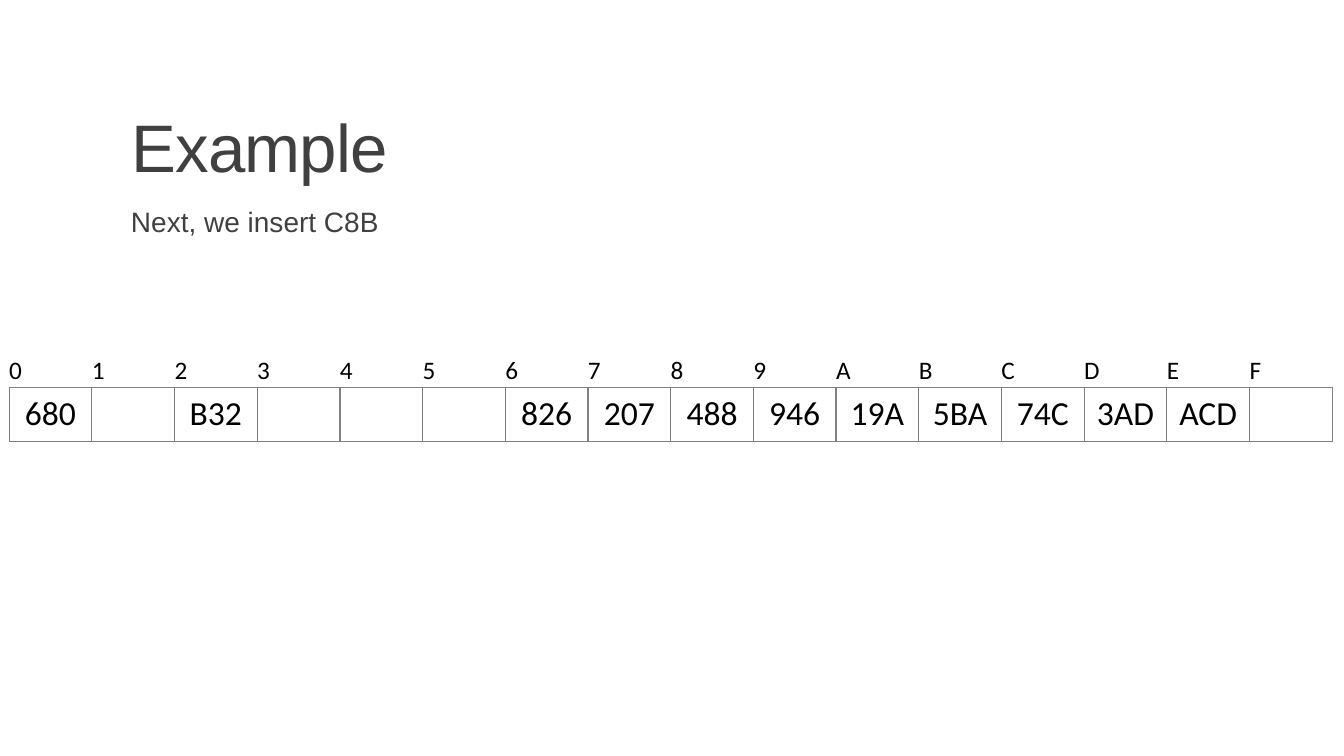
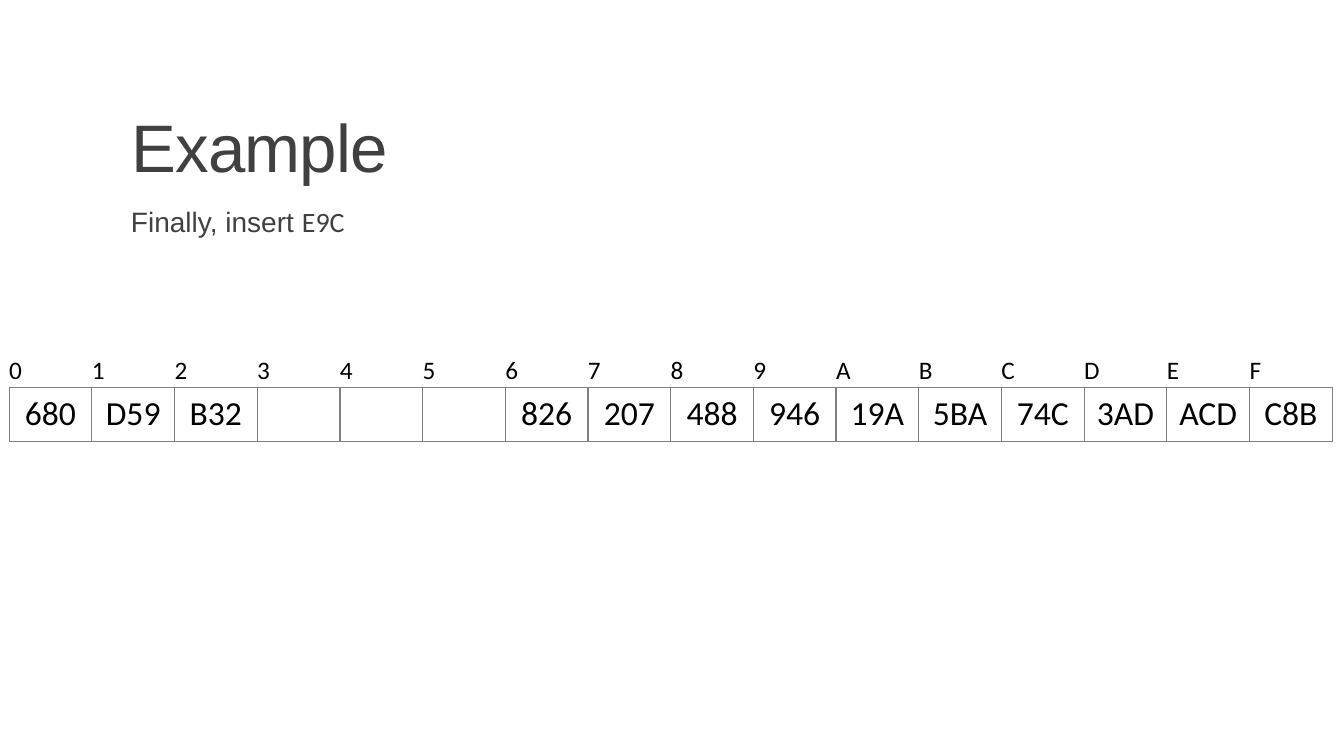
from dataclasses import dataclass

from lxml.etree import SubElement
from pptx import Presentation
from pptx.dml.color import RGBColor as RGB
from pptx.enum.text import MSO_ANCHOR as Anchor, MSO_AUTO_SIZE as AutoSize, PP_ALIGN as Align
from pptx.oxml.ns import qn
from pptx.util import Cm, Pt


@dataclass(frozen=True)
class Theme:
    heading_font: str = "Arial"
    key_font: str = "Calibri"
    text: RGB = RGB(0x40, 0x40, 0x40)
    key: RGB = RGB(0, 0, 0)
    border: str = "808080"
    border_width: int = Pt(1)
    title_size: int = Pt(48)
    body_size: int = Pt(20)
    slot_size: int = Pt(18)
    key_size: int = Pt(24)


def apply(obj, values):
    for name, value in values.items():
        setattr(obj, name, value)


class Deck:
    def __init__(self, theme):
        self.theme = theme
        self.prs = Presentation()
        apply(self.prs, {"slide_width": Cm(33.87), "slide_height": Cm(19.05)})
        self.slide = None

    def add_slide(self):
        self.slide = self.prs.slides.add_slide(self.prs.slide_layouts[1])

    def place(self, sp, top, height, frame):
        apply(sp, {"left": Cm(3.05), "top": Cm(top), "width": Cm(27.94), "height": Cm(height)})
        apply(sp.text_frame, {"auto_size": AutoSize.NONE, "word_wrap": True, **frame})
        return sp.text_frame.paragraphs[0]

    def add_run(self, p, text, font, size, color):
        r = p.add_run()
        r.text = text
        apply(r.font, {"name": font, "size": size})
        r.font.color.rgb = color
        return r

    def title(self, text):
        t = self.theme
        p = self.place(self.slide.shapes.title, 0.79, 4.04, {"vertical_anchor": Anchor.BOTTOM})
        apply(p, {"alignment": Align.LEFT, "line_spacing": 0.85})
        r = self.add_run(p, text, t.heading_font, t.title_size, t.text)
        r.font._element.set("spc", "-50")

    def body(self, *runs):
        t = self.theme
        frame = {"margin_left": 0, "margin_right": 0, "vertical_anchor": Anchor.TOP}
        p = self.place(self.slide.placeholders[1], 5.13, 11.18, frame)
        pPr = p._p.get_or_add_pPr()
        pPr.set("marL", str(Cm(0.25)))
        pPr.set("indent", "0")
        SubElement(pPr, qn("a:buNone"))
        apply(p, {"line_spacing": 0.9, "space_before": Pt(0), "space_after": Pt(2)})
        for text, font in runs:
            self.add_run(p, text, font, t.body_size, t.text)

    def borders(self, cell, shown):
        tcPr = cell._tc.get_or_add_tcPr()
        for side in "LRTB":
            ln = SubElement(tcPr, qn(f"a:ln{side}"), w=str(self.theme.border_width))
            if side in shown:
                fill = SubElement(ln, qn("a:solidFill"))
                SubElement(fill, qn("a:srgbClr"), val=self.theme.border)
            else:
                SubElement(ln, qn("a:noFill"))

    def hash_table(self, slots, keys):
        t = self.theme
        rows = (
            (0.84, slots, t.slot_size, Align.LEFT, "B"),
            (1.37, [keys.get(slot, "") for slot in slots], t.key_size, Align.CENTER, "LRTB"),
        )
        height = sum(row[0] for row in rows)
        table = self.slide.shapes.add_table(
            len(rows), len(slots), Cm(0.23), Cm(8.92), Cm(33.35), Cm(height)).table
        apply(table, {"first_row": False, "horz_banding": False})
        margins = {f"margin_{side}": 0 for side in ("left", "right", "top", "bottom")}
        for row, (row_height, texts, size, align, sides) in zip(table.rows, rows):
            row.height = Cm(row_height)
            for cell, text in zip(row.cells, texts):
                self.borders(cell, sides)
                cell.fill.background()
                apply(cell, {"vertical_anchor": Anchor.MIDDLE, **margins})
                p = cell.text_frame.paragraphs[0]
                p.alignment = align
                if text:
                    self.add_run(p, text, t.key_font, size, t.key)


def main():
    theme = Theme()
    deck = Deck(theme)
    slots = "0123456789ABCDEF"
    keys = {
        "0": "680", "2": "B32", "6": "826", "7": "207", "8": "488", "9": "946",
        "A": "19A", "B": "5BA", "C": "74C", "D": "3AD", "E": "ACD",
    }
    steps = (
        ([("Next, we insert C8B", theme.heading_font)], keys),
        ([("Finally, insert ", theme.heading_font), ("E9C", theme.key_font)],
         {**keys, "1": "D59", "F": "C8B"}),
    )
    for runs, stored in steps:
        deck.add_slide()
        deck.title("Example")
        deck.body(*runs)
        deck.hash_table(slots, stored)
    deck.prs.save("out.pptx")


if __name__ == "__main__":
    main()
